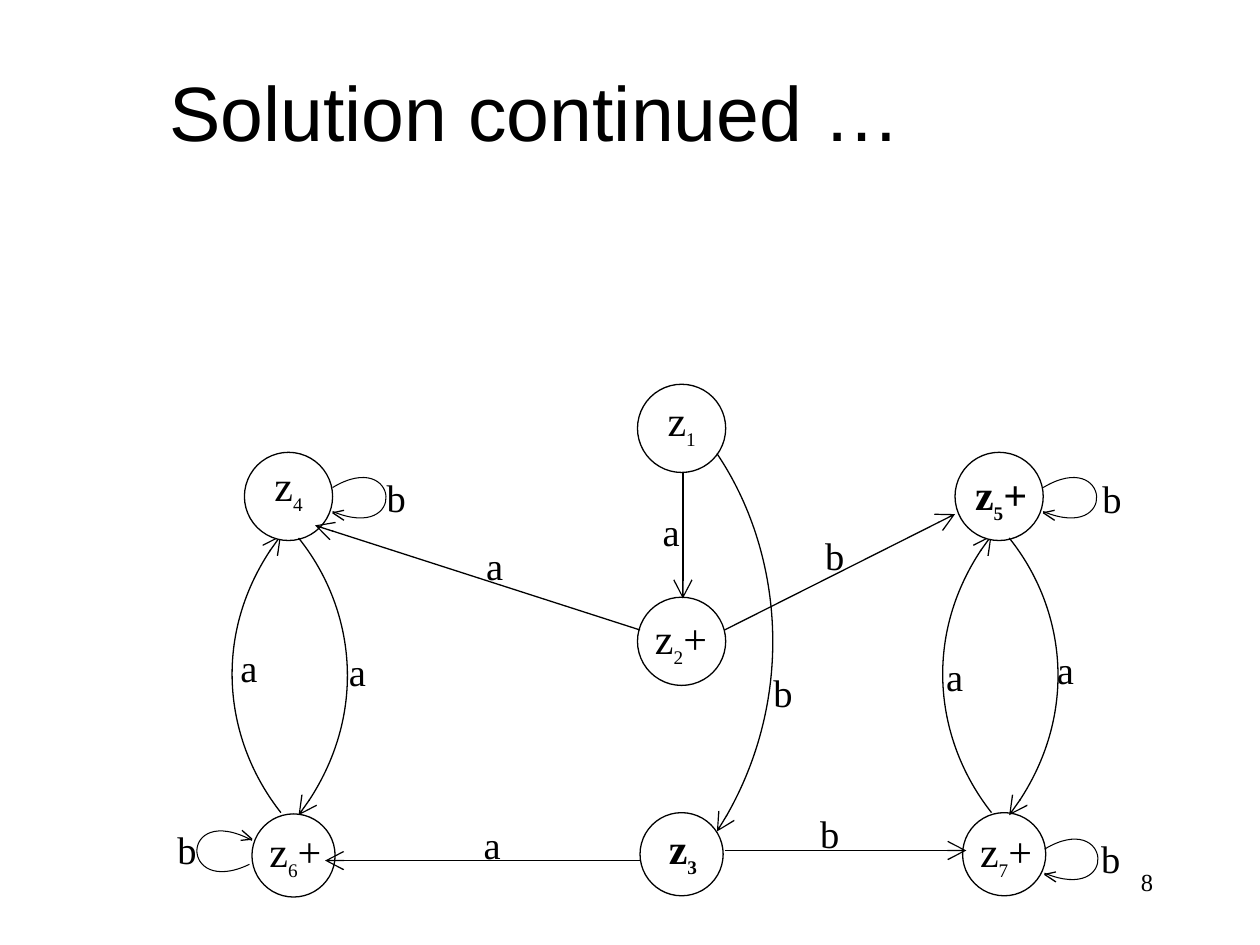
"""Build the slide with the state diagram that ends the solution."""
import lxml.etree
import pptx
import pptx.dml.color
import pptx.enum.shapes
import pptx.enum.text
import pptx.oxml.ns
import pptx.util

BLACK = pptx.dml.color.RGBColor(0, 0, 0)
WHITE = pptx.dml.color.RGBColor(255, 255, 255)
Inches = pptx.util.Inches
Align = pptx.enum.text.PP_ALIGN
qualified = pptx.oxml.ns.qn

SERIF = "Times New Roman"
TITLE = ("Solution continued …", (0, 0.25, 8.5, 1.25), {"name": "Arial", "size": pptx.util.Pt(44)})
NUMBER = ("8", (7.17, 6.83, 2.08, 0.5), {"name": SERIF, "size": pptx.util.Pt(14)})
LABEL = {"name": SERIF, "size": pptx.util.Pt(22)}
NAME = {"name": SERIF, "size": pptx.util.Pt(24)}
SUBSCRIPT = {"name": SERIF, "size": pptx.util.Pt(19)}
ARROWHEAD = {"type": "arrow", "w": "lg", "len": "lg"}

LEFT, MIDDLE, RIGHT = 2.29, 5.41, 7.93
SIDE_GAP = RIGHT - LEFT
LARGE, SMALL = 0.7, 0.66

# (subscript, suffix, bold, centre, diameter, label corner)
STATES = [
    ("1", "", False, (MIDDLE, 3.4), LARGE, (5.2, 3.08)),
    ("2", "+", False, (MIDDLE, 5.09), LARGE, (5.1, 4.81)),
    ("3", "", True, (MIDDLE, 6.78), SMALL, (5.21, 6.48)),
    ("4", "", False, (LEFT, 3.94), LARGE, (2.08, 3.6)),
    ("5", "+", True, (RIGHT, 3.94), LARGE, (7.64, 3.67)),
    ("6", "+", False, (LEFT + 0.04, 6.79), SMALL, (2.04, 6.5)),
    ("7", "+", False, (RIGHT + 0.04, 6.78), SMALL, (7.68, 6.5)),
]
RISING = [(2.23, 6.45), (1.78, 5.88), (1.67, 4.97), (2.23, 4.25)]
FALLING = [(2.37, 4.27), (2.82, 4.83), (2.93, 5.74), (2.37, 6.47)]
Z1_TO_Z3 = [(5.69, 3.6), (6.21, 4.37), (6.33, 5.61), (5.69, 6.6)]

# (curve, two head strokes), relative to the start of the loop
RIGHT_LOOP = (
    [(0, 0), (0.53, -0.32), (0.6, 0.44), (0, 0.19)],
    [[(0, 0.2), (0.09, 0.26)], [(0.09, 0.18), (0, 0.2)]],
)
LEFT_LOOP = (
    [(0, 0), (-0.56, 0.27), (-0.56, -0.5), (0.02, -0.19)],
    [[(0.02, -0.2), (-0.06, -0.27)], [(-0.07, -0.19), (0.02, -0.2)]],
)
LOOPS = [((8.28, 3.87), RIGHT_LOOP), ((8.29, 6.74), RIGHT_LOOP),
         ((2.64, 3.87), RIGHT_LOOP), ((1.98, 6.86), LEFT_LOOP)]
ARROWS = [
    ((5.42, 3.75), (5.42, 4.75)),
    ((5.08, 5), (2.5, 4.17)),
    ((5.75, 5), (7.58, 4.08)),
    ((5.08, 6.83), (2.58, 6.83)),
    ((5.75, 6.75), (7.67, 6.75)),
]
EDGE_LABELS = {
    "a": [(2.67, 5.09), (1.81, 5.06), (7.41, 5.13), (8.29, 5.08),
          (5.16, 3.98), (3.76, 4.25), (3.74, 6.47)],
    "b": [(2.97, 3.71), (1.31, 6.51), (8.64, 6.58), (8.65, 3.72),
          (6.04, 5.26), (6.45, 4.17), (6.41, 6.38)],
}


def shift(points, origin):
    return [(origin[0] + x, origin[1] + y) for x, y in points]


def set_line(shape, width=0.75, arrow=False):
    shape.line.color.rgb = BLACK
    shape.line.width = pptx.util.Pt(width)
    if arrow:
        line = shape.element.spPr.find(qualified("a:ln"))
        lxml.etree.SubElement(line, qualified("a:tailEnd"), ARROWHEAD)


def add_stroke(shapes, points, **line_format):
    """Draw two points as a line and four points as a cubic curve."""
    points = [(Inches(x), Inches(y)) for x, y in points]
    builder = shapes.build_freeform(*points[0])
    builder.add_line_segments(points[1:], close=False)
    shape = builder.convert_to_shape()
    if len(points) == 4:
        segments = list(shape.element.iter(qualified("a:lnTo")))
        outline = segments[0].getparent()
        curve = lxml.etree.SubElement(outline, qualified("a:cubicBezTo"))
        for segment in segments:
            curve.append(segment[0])
            outline.remove(segment)
    shape.fill.background()
    set_line(shape, **line_format)
    shape.shadow.inherit = False


def add_loop(slide, origin, curve, head):
    shapes = slide.shapes.add_group_shape().shapes
    add_stroke(shapes, shift(curve, origin), width=0.6)
    for stroke in head:
        add_stroke(shapes, shift(stroke, origin))


def add_circle(slide, centre, diameter):
    corner = [Inches(value - diameter / 2) for value in centre]
    shape = slide.shapes.add_shape(
        pptx.enum.shapes.MSO_SHAPE.OVAL, *corner, Inches(diameter), Inches(diameter))
    shape.fill.solid()
    shape.fill.fore_color.rgb = WHITE
    set_line(shape)
    shape.shadow.inherit = False


def add_arrow(slide, start, end):
    connector = slide.shapes.add_connector(
        pptx.enum.shapes.MSO_CONNECTOR.STRAIGHT, *map(Inches, start + end))
    set_line(connector, arrow=True)
    lxml.etree.SubElement(connector.element.spPr, qualified("a:effectLst"))


def add_run(paragraph, text, font_format, bold=False, baseline=None):
    run = paragraph.add_run()
    run.text = text
    for key, value in {**font_format, "bold": bold}.items():
        setattr(run.font, key, value)
    run.font.color.rgb = BLACK
    if baseline:
        run.font._element.set("baseline", baseline)


def add_text_box(slide, box, alignment=Align.LEFT):
    frame = slide.shapes.add_textbox(*map(Inches, box)).text_frame
    frame.word_wrap = True
    frame.paragraphs[0].alignment = alignment
    return frame.paragraphs[0]


def add_title(slide):
    text, box, font_format = TITLE
    title = slide.shapes.title
    for key, value in zip(("left", "top", "width", "height"), box):
        setattr(title, key, Inches(value))
    title.text_frame.vertical_anchor = pptx.enum.text.MSO_ANCHOR.MIDDLE
    paragraph = title.text_frame.paragraphs[0]
    paragraph.alignment = Align.CENTER
    add_run(paragraph, text, font_format)


def main():
    presentation = pptx.Presentation()
    presentation.slide_width, presentation.slide_height = Inches(10), Inches(7.5)
    slide = presentation.slides.add_slide(presentation.slide_layouts[5])
    add_title(slide)
    text, box, font_format = NUMBER
    add_run(add_text_box(slide, box, Align.RIGHT), text, font_format)

    sides = [(0, 0), (SIDE_GAP, 0)]
    for side in sides:
        add_stroke(slide.shapes, shift(RISING, side), arrow=True)
    for *_, centre, diameter, _ in STATES:
        add_circle(slide, centre, diameter)
    for curve in [shift(FALLING, side) for side in sides] + [Z1_TO_Z3]:
        add_stroke(slide.shapes, curve, arrow=True)
    for origin, (curve, head) in LOOPS:
        add_loop(slide, origin, curve, head)
    for start, end in ARROWS:
        add_arrow(slide, start, end)

    for subscript, suffix, bold, _, _, corner in STATES:
        paragraph = add_text_box(slide, corner + (0.8, 0.45))
        add_run(paragraph, "z", NAME, bold)
        add_run(paragraph, subscript, SUBSCRIPT, bold, "-30000")
        if suffix:
            add_run(paragraph, suffix, NAME, bold)
    for letter, corners in EDGE_LABELS.items():
        for corner in corners:
            add_run(add_text_box(slide, corner + (1.01, 0.41)), letter, LABEL)
    presentation.save("out.pptx")


if __name__ == "__main__":
    main()
